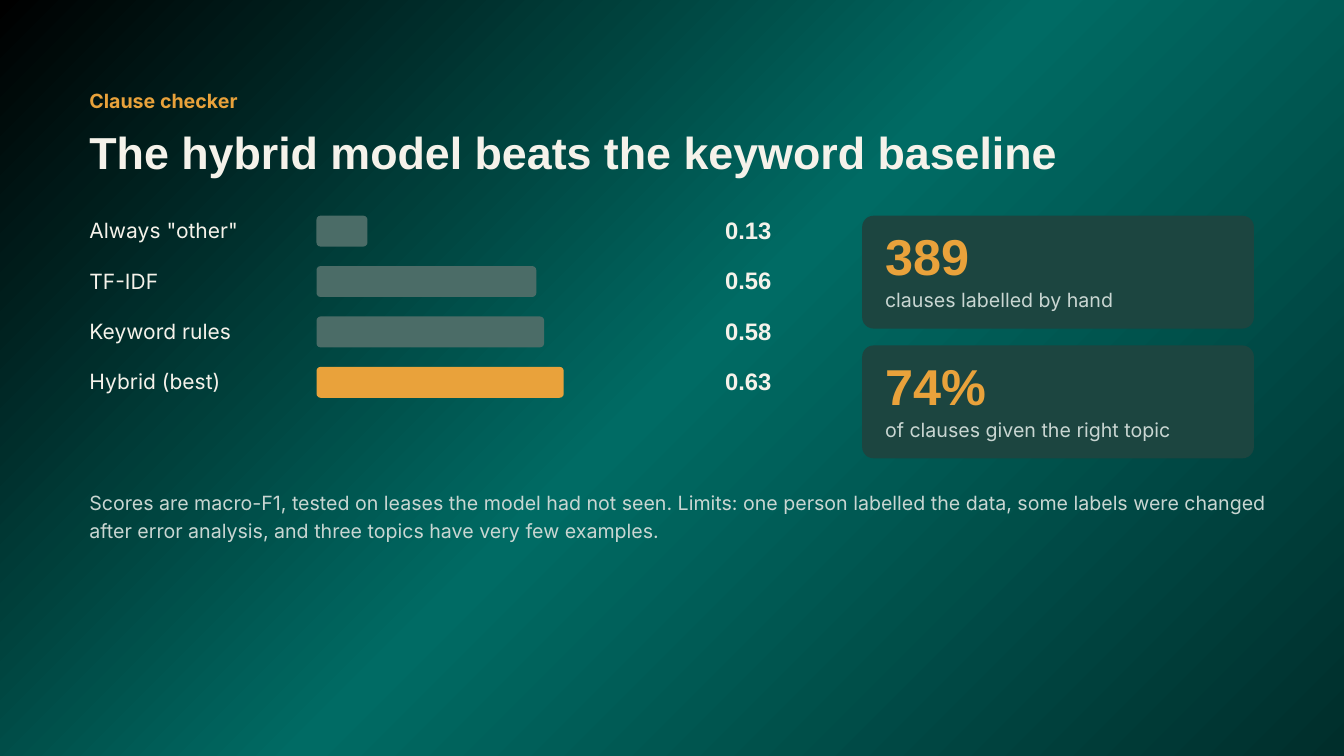
import pptx
import pptx.util
import pptx.dml.color
import pptx.enum.shapes
import pptx.enum.text
import pptx.oxml
import pptx.oxml.ns

Inches = pptx.util.Inches
Pt = pptx.util.Pt

CREAM, MIST, AMBER = "F5F2EA", "C9D6D2", "E9A23B"
BAR, CARD = "4B6C67", "1C4540"
GRADIENT = [(0, "000000"), (50, "006B64"), (100, "002E2B")]

SCORES = [('Always "other"', 0.13), ("TF-IDF", 0.56),
          ("Keyword rules", 0.58), ("Hybrid (best)", 0.63)]
FACTS = [("389", "clauses labelled by hand"),
         ("74%", "of clauses given the right topic")]
NOTE = ("Scores are macro-F1, tested on leases the model had not seen. "
        "Limits: one person labelled the data, some labels were changed "
        "after error analysis, and three topics have very few examples.")


def rgb(color):
    return pptx.dml.color.RGBColor.from_string(color)


def write(s, text, size, leading, color, font="Inter", bold=False):
    """Fill a text box or placeholder with one formatted paragraph."""
    tf = s.text_frame
    tf.word_wrap = True
    tf.auto_size = pptx.enum.text.MSO_AUTO_SIZE.NONE
    tf.vertical_anchor = pptx.enum.text.MSO_ANCHOR.TOP
    tf.margin_left = tf.margin_right = tf.margin_top = tf.margin_bottom = 0
    p = tf.paragraphs[0]
    p.text = text
    p.alignment = pptx.enum.text.PP_ALIGN.LEFT
    p.line_spacing = Pt(leading)
    p.space_before = Pt(0)
    p.font.name, p.font.size, p.font.bold = font, Pt(size), bold
    p.font.color.rgb = rgb(color)


def add_text(slide, x, y, w, h, *args, **style):
    s = slide.shapes.add_textbox(Inches(x), Inches(y), Inches(w), Inches(h))
    write(s, *args, **style)


def add_panel(slide, x, y, w, h, radius, color):
    s = slide.shapes.add_shape(
        pptx.enum.shapes.MSO_SHAPE.ROUNDED_RECTANGLE,
        Inches(x), Inches(y), Inches(w), Inches(h))
    s.adjustments[0] = radius / min(w, h)
    s.shadow.inherit = False
    s.fill.solid()
    s.fill.fore_color.rgb = rgb(color)
    s.line.fill.background()


def set_background(slide):
    """Three-stop diagonal gradient."""
    slide.background.fill.solid()
    bg_pr = slide.background._cSld.bg.bgPr
    stops = "".join(
        f'<a:gs pos="{pos * 1000}"><a:srgbClr val="{color}"/></a:gs>'
        for pos, color in GRADIENT)
    grad = pptx.oxml.parse_xml(
        f'<a:gradFill {pptx.oxml.ns.nsdecls("a")} rotWithShape="1">'
        f'<a:gsLst>{stops}</a:gsLst>'
        '<a:lin ang="2700000" scaled="0"/></a:gradFill>')
    bg_pr.replace(bg_pr[0], grad)


def add_heading(slide, x, y, w):
    add_text(slide, x, y, w, 0.39, "Clause checker", 21, 25.2, AMBER, bold=True)
    title = slide.shapes.title
    title.left, title.top = Inches(x), Inches(y + 0.59)
    title.width, title.height = Inches(w), Inches(0.76)
    write(title, "The hybrid model beats the keyword baseline", 48, 52.8,
          CREAM, font="Arial", bold=True)


def add_scores(slide, x, y, row_step=0.75, full_bar=5.84):
    """Label, bar and value in each row; bar length follows the score."""
    best = max(score for _, score in SCORES)
    for i, (label, score) in enumerate(SCORES):
        top = y + i * row_step
        add_text(slide, x, top + 0.03, 3.22, 0.43, label, 22.5, 27, CREAM)
        add_panel(slide, x + 3.38, top, score * full_bar, 0.46, 0.06,
                  AMBER if score == best else BAR)
        add_text(slide, x + 9.46, top, 1.02, 0.48, f"{score:.2f}", 25.5, 30.6,
                 CREAM, font="Arial", bold=True)


def add_facts(slide, x, y, w, h=1.68, gap=0.25):
    """Stacked cards, each with a large figure over a caption."""
    for i, (figure, caption) in enumerate(FACTS):
        top = y + i * (h + gap)
        add_panel(slide, x, top, w, h, 0.17, CARD)
        add_text(slide, x + 0.34, top + 0.18, w - 0.51, 0.91, figure, 54, 62.1,
                 AMBER, font="Arial", bold=True)
        add_text(slide, x + 0.34, top + 1.08, w - 0.51, 0.39, caption, 21, 25.2,
                 MIST)


def main():
    prs = pptx.Presentation()
    prs.slide_width, prs.slide_height = Inches(20), Inches(11.25)
    slide = prs.slides.add_slide(prs.slide_layouts.get_by_name("Title Only"))
    set_background(slide)
    left, top = 1.33, 3.21
    add_heading(slide, left, 1.33, 17.85)
    add_scores(slide, left, top)
    add_facts(slide, 12.83, top, 5.83)
    add_text(slide, left, 7.23, 17.85, 0.94, NOTE, 21, 30.4, MIST)
    prs.save("out.pptx")


if __name__ == "__main__":
    main()
